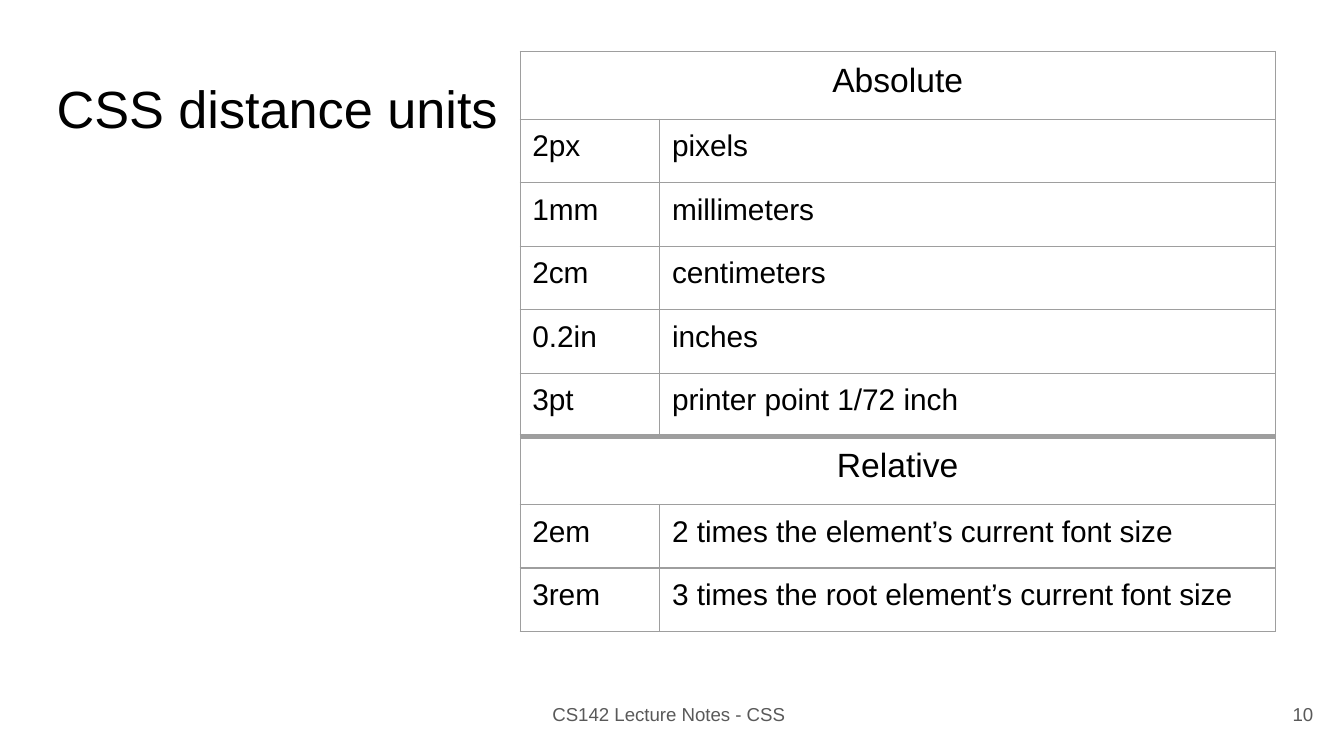
from lxml import etree
from pptx import Presentation
from pptx import util as u
from pptx.dml.color import RGBColor
from pptx.enum import text
from pptx.oxml.ns import qn

TITLE = "CSS distance units"
FOOTER = "CS142 Lecture Notes - CSS"
PAGE = "10"
GROUPS = [
    ("Absolute", [
        ("2px", "pixels"),
        ("1mm", "millimeters"),
        ("2cm", "centimeters"),
        ("0.2in", "inches"),
        ("3pt", "printer point 1/72 inch"),
    ]),
    ("Relative", [
        ("2em", "2 times the element’s current font size"),
        ("3rem", "3 times the root element’s current font size"),
    ]),
]

BLACK = RGBColor(0, 0, 0)
GREY = RGBColor(0x59, 0x59, 0x59)
RULE = RGBColor(0x9E, 0x9E, 0x9E)
THIN, THICK = u.Pt(0.75), u.Pt(3)
COL_WIDTHS = (u.Cm(2.64), u.Cm(11.63))
HEADING_HEIGHT, UNIT_HEIGHT = u.Cm(1.28), u.Cm(1.2)


def write(tf, content, size, color, align=text.PP_ALIGN.LEFT):
    """Put one formatted paragraph in a text frame."""
    tf.text = content
    p = tf.paragraphs[0]
    p.alignment = align
    font = p.runs[0].font
    font.name, font.size, font.color.rgb = "Arial", u.Pt(size), color


def plain_frame(sp, top=0):
    """Clear margins and wrapping and anchor the text at the top."""
    tf = sp.text_frame
    tf.margin_left = tf.margin_right = tf.margin_bottom = 0
    tf.margin_top = top
    tf.word_wrap = False
    tf.auto_size = text.MSO_AUTO_SIZE.NONE
    tf.vertical_anchor = text.MSO_ANCHOR.TOP
    return tf


def add_label(s, content, left, width):
    """Add a small grey text at the foot of the slide."""
    sp = s.shapes.add_textbox(left, u.Cm(13.28), width, u.Cm(0.46))
    write(plain_frame(sp), content, 10, GREY)


def set_borders(cell, top, bottom):
    """Draw the four borders of a cell."""
    tcPr = cell._tc.get_or_add_tcPr()
    sides = (("lnL", THIN), ("lnR", THIN), ("lnT", top), ("lnB", bottom))
    for i, (side, width) in enumerate(sides):
        ln = etree.Element(qn("a:" + side), w=str(int(width)))
        fill = etree.SubElement(ln, qn("a:solidFill"))
        etree.SubElement(fill, qn("a:srgbClr"), val=str(RULE))
        tcPr.insert(i, ln)


def add_units_table(s):
    """Add the table: a merged heading row above each group of units."""
    rows = [row for name, units in GROUPS for row in [(name,), *units]]
    height = sum(HEADING_HEIGHT if len(r) == 1 else UNIT_HEIGHT for r in rows)
    frame = s.shapes.add_table(len(rows), len(COL_WIDTHS), u.Cm(9.83), u.Cm(0.97),
                               sum(COL_WIDTHS), height)
    table = frame.table
    table.first_row = table.horz_banding = False
    for column, width in zip(table.columns, COL_WIDTHS):
        column.width = width

    for i, row in enumerate(rows):
        heading = len(row) == 1
        before_heading = i + 1 < len(rows) and len(rows[i + 1]) == 1
        table.rows[i].height = HEADING_HEIGHT if heading else UNIT_HEIGHT
        for j in range(len(COL_WIDTHS)):
            cell = table.cell(i, j)
            cell.fill.background()
            cell.margin_left = 0 if heading else u.Cm(0.23)
            cell.margin_right = cell.margin_bottom = 0
            cell.margin_top = u.Cm(0.2)
            set_borders(cell, THICK if heading and i else THIN,
                        THICK if before_heading else THIN)
        if heading:
            table.cell(i, 0).merge(table.cell(i, 1))
        for j, content in enumerate(row):
            write(table.cell(i, j).text_frame, content, 18 if heading else 16, BLACK,
                  text.PP_ALIGN.CENTER if heading else text.PP_ALIGN.LEFT)


prs = Presentation()
prs.slide_width, prs.slide_height = u.Cm(25.4), u.Cm(14.28)
s = prs.slides.add_slide(prs.slide_layouts[5])

title = s.shapes.title
title.left, title.top = u.Cm(1.07), u.Cm(1.4)
title.width, title.height = u.Cm(8.41), u.Cm(1.24)
write(plain_frame(title, u.Cm(0.03)), TITLE, 28, BLACK)

add_label(s, FOOTER, u.Cm(10.44), u.Cm(4.47))
add_label(s, PAGE, u.Cm(24.43), u.Cm(0.53))
add_units_table(s)

prs.save("out.pptx")
